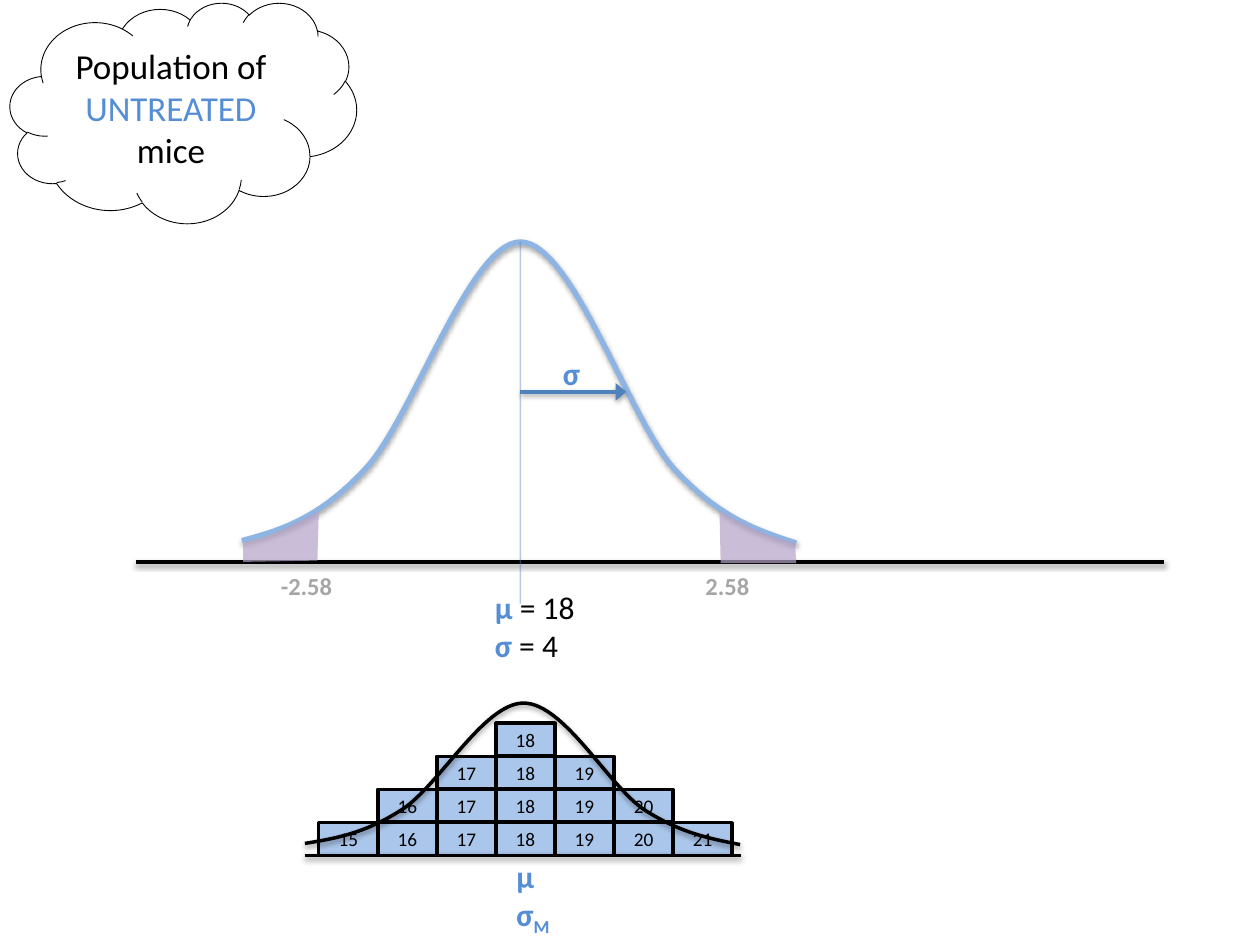
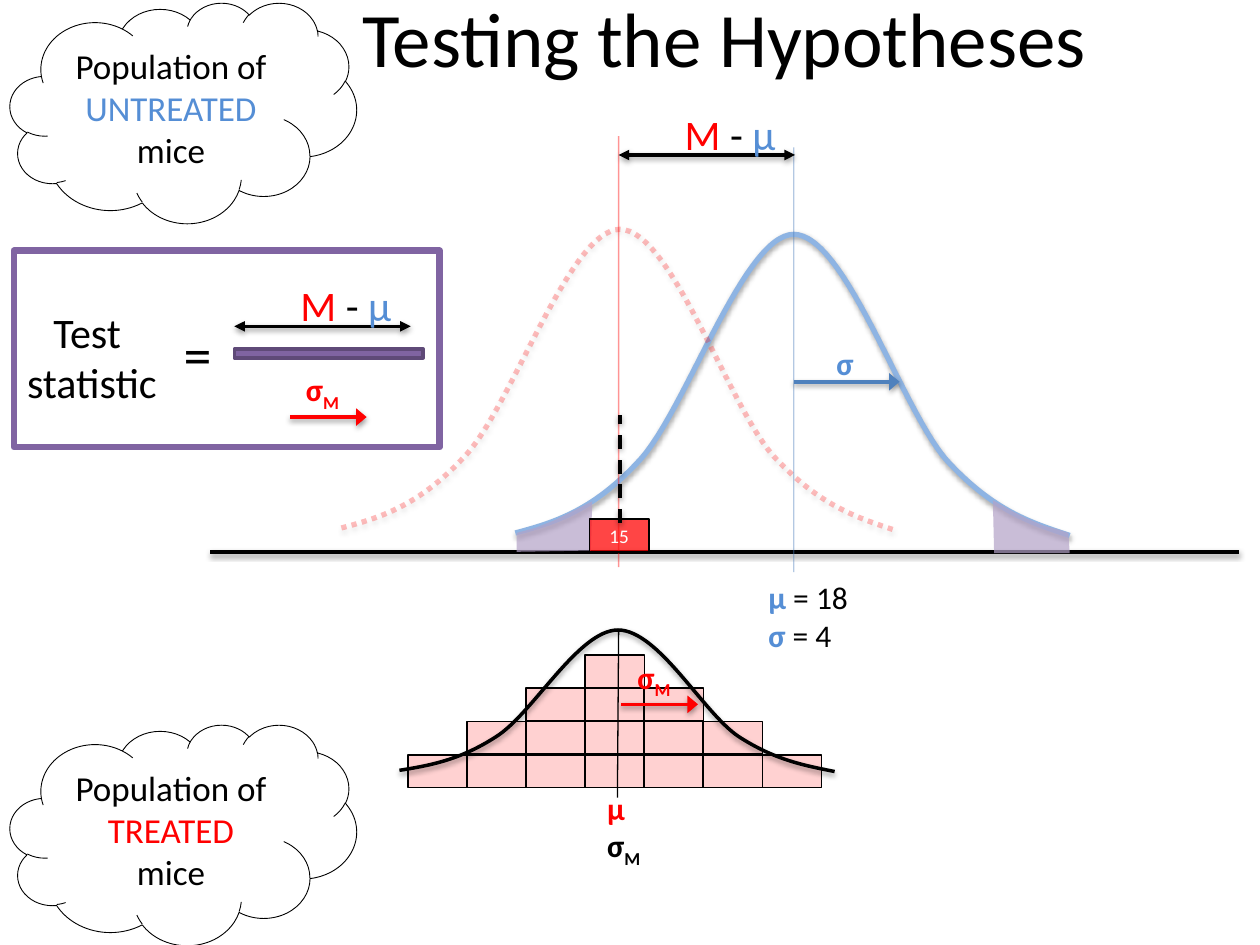
"""Build two slides that compare untreated and treated populations of mice."""
from lxml.etree import SubElement
from pptx import Presentation
from pptx.dml.color import RGBColor
from pptx.enum.dml import MSO_LINE as Dash
from pptx.enum.shapes import MSO_CONNECTOR as Link, MSO_SHAPE as Preset
from pptx.enum.text import MSO_ANCHOR as Anchor, PP_ALIGN as Align
from pptx.oxml.ns import qn
from pptx.util import Inches, Pt

COLORS = {
    "black": "000000", "white": "FFFFFF", "red": "FF0000", "gray": "A6A6A6",
    "untreated": "558ED5", "curve": "8EB4E3", "arrow": "4F81BD", "mean": "4B7EBC",
    "tail": "B3A2C7", "frame": "8064A2", "bar_edge": "5F4A78",
}
FONT = "Calibri"
CELL_WIDTH, CELL_HEIGHT = 0.47, 0.26
COLUMN_STEP, ROW_STEP = 3.28 / 7, 0.79 / 3
BELL = [(0, 2.37), (0.3, 2.29), (0.61, 2.2), (0.98, 1.8), (1.35, 1.41), (1.81, 0),
        (2.21, 0), (2.62, 0), (3.07, 1.4), (3.43, 1.8), (3.8, 2.2), (4.1, 2.29), (4.4, 2.39)]
TAILS = [
    [(4.4, 2.55), (4.39, 2.39), (4.3, 2.36), (4.19, 2.33), (4.05, 2.27), (3.95, 2.22),
     (3.79, 2.13), (3.8, 2.55)],
    [(0.01, 2.39), (0.16, 2.35), (0.31, 2.29), (0.47, 2.21), (0.61, 2.14), (0.6, 2.53),
     (0.01, 2.54)],
]


def write(box, text, size=18, color="black", bold=False, align=Align.LEFT,
          anchor=Anchor.TOP, wrap=True):
    """Fill a box with plain text, or with paragraphs of (text, color, flags) runs."""
    frame = box.text_frame
    frame.word_wrap, frame.vertical_anchor = wrap, anchor
    paragraphs = [[(text, color, "b" if bold else "")]] if isinstance(text, str) else text
    for number, runs in enumerate(paragraphs):
        para = frame.add_paragraph() if number else frame.paragraphs[0]
        para.alignment = align
        for words, run_color, flags in runs:
            span = para.add_run()
            span.text = words
            span.font.name, span.font.size = FONT, Pt(size)
            span.font.bold = "b" in flags
            span.font.color.rgb = RGBColor.from_string(COLORS[run_color])
            if "s" in flags:
                span.font._element.set("baseline", "-25000")


def style(shape, fill=None, line=None, width=2, fill_alpha=100, line_alpha=100,
          dash=None, arrows=(), head_width="med", shadow=False):
    """Set fill, line, arrowheads, transparency and shadow of a shape or connector."""
    paints = [(shape.line.fill, line, line_alpha)]
    if hasattr(shape, "fill"):
        paints.append((shape.fill, fill, fill_alpha))
    properties = shape._element.spPr
    for paint, color, alpha in paints:
        if color is None:
            paint.background()
            continue
        paint.solid()
        paint.fore_color.rgb = RGBColor.from_string(COLORS[color])
        if alpha < 100:
            owner = properties.find(qn("a:ln")) if paint is paints[0][0] else properties
            tint = owner.find(qn("a:solidFill")).find(qn("a:srgbClr"))
            SubElement(tint, qn("a:alpha"), val=str(alpha * 1000))
    if line:
        shape.line.width = Pt(width)
    if dash:
        shape.line.dash_style = dash
    for end in arrows:
        SubElement(properties.find(qn("a:ln")), qn(f"a:{end}End"), type="triangle", w=head_width)
    effects = SubElement(properties, qn("a:effectLst"))
    if shadow:
        cast = SubElement(effects, qn("a:outerShdw"), blurRad="40000", dist="20000",
                          dir="5400000", rotWithShape="0")
        tint = SubElement(cast, qn("a:srgbClr"), val=COLORS["black"])
        SubElement(tint, qn("a:alpha"), val="38000")


deck = Presentation()
deck.slide_width, deck.slide_height = Inches(10), Inches(7.5)

bold_line = dict(line="black", shadow=True)
sigma_arrow = dict(line="red", arrows=["tail"], head_width="lg", shadow=True)
double_arrow = dict(line="black", arrows=["head", "tail"], shadow=True)
thin_red = dict(line="red", width=0.75, line_alpha=42)
dotted_red = dict(line="red", width=3, line_alpha=26, dash=Dash.ROUND_DOT, shadow=True)
differences = [(4.91, 1.23), (1.86, 2.59)]
errors = [(4.93, 5.59), (2.3, 3.31)]

scenes = [
    dict(layout=6, left=1.92, top=1.92, curve_top=1.92, axis=1.08, mean=(1.92, 4.79),
         cells=(2.53, 6.53), sample=(2.42, 5.58), label=(4, 6.75),
         cell_style=dict(fill="curve", fill_alpha=75, line="black"), numbers=True,
         label_colors=("untreated", "untreated"),
         clouds=[(0.02, "UNTREATED ", "untreated")],
         lines=[(2.42, 6.79, 5.88, 6.79, bold_line)], curves=[]),
    dict(layout=5, left=4.09, top=1.84, curve_top=1.86, axis=1.67, mean=(1.17, 4.54),
         cells=(3.24, 5.99), sample=(3.17, 5), label=(4.72, 6.21),
         cell_style=dict(fill="red", fill_alpha=18, line="black", width=1), numbers=False,
         label_colors=("red", "black"),
         clouds=[(0.02, "UNTREATED ", "untreated"), (5.75, "TREATED ", "red")],
         lines=[(4.91, 1.08, 4.91, 4.5, thin_red),
                (4.91, 5, 4.9, 6.33, dict(line="black", width=0.75))]
         + [(x + 1.4, y, x, y, double_arrow) for x, y in differences]
         + [(x, y, x + 0.61, y, sigma_arrow) for x, y in errors],
         curves=[(2.71, 1.82, 1, 1, dotted_red)]),
]

for scene in scenes:
    page = deck.slides.add_slide(deck.slide_layouts[scene["layout"]])
    left, top = scene["left"], scene["top"]
    center = left + 2.21

    for cloud_top, group, color in scene["clouds"]:
        cloud = page.shapes.add_shape(
            Preset.CLOUD, Inches(0.08), Inches(cloud_top), Inches(2.75), Inches(1.75))
        style(cloud, line="black", width=0.5)
        write(cloud, [[("Population of ", "black", ""), (group, color, ""), ("mice", "black", "")]],
              size=20, align=Align.CENTER, anchor=Anchor.MIDDLE)

    for column in range(7):
        for row in range(4 - abs(column - 3)):
            cell = page.shapes.add_shape(
                Preset.RECTANGLE, Inches(scene["cells"][0] + column * COLUMN_STEP),
                Inches(scene["cells"][1] - row * ROW_STEP),
                Inches(CELL_WIDTH), Inches(CELL_HEIGHT))
            style(cell, **scene["cell_style"])
            if scene["numbers"]:
                write(cell, str(15 + column), size=11, align=Align.CENTER, anchor=Anchor.MIDDLE)

    axis, axis_y = scene["axis"], top + 2.54
    lines = [
        (axis, axis_y, axis + 8.16, axis_y, bold_line),
        (center, scene["mean"][0], center, scene["mean"][1],
         dict(line="mean", width=0.75, line_alpha=42)),
        (center, top + 1.19, center + 0.84, top + 1.19,
         dict(line="arrow", arrows=["tail"], head_width="lg", shadow=True)),
    ]
    curves = [
        (left, scene["curve_top"], 1, 1, dict(line="curve", width=3, shadow=True)),
        (*scene["sample"], 0.785, 0.47, bold_line),
    ]
    for curve_left, curve_top, scale_x, scale_y, look in curves + scene["curves"]:
        points = [(Inches(curve_left + x * scale_x), Inches(curve_top + y * scale_y))
                  for x, y in BELL]
        builder = page.shapes.build_freeform(*points[0])
        builder.add_line_segments(points[1:], close=False)
        curve = builder.convert_to_shape()
        segments = list(curve._element.iter(qn("a:lnTo")))
        outline = segments[0].getparent()
        for start in range(0, len(segments), 3):
            bezier = SubElement(outline, qn("a:cubicBezTo"))
            for segment in segments[start:start + 3]:
                bezier.append(segment[0])
                outline.remove(segment)
        style(curve, **look)

    for x1, y1, x2, y2, look in lines + scene["lines"]:
        connector = page.shapes.add_connector(
            Link.STRAIGHT, Inches(x1), Inches(y1), Inches(x2), Inches(y2))
        style(connector, **look)

    for tail in TAILS:
        points = [(Inches(left + x), Inches(top + y)) for x, y in tail]
        builder = page.shapes.build_freeform(*points[0])
        builder.add_line_segments(points[1:], close=True)
        style(builder.convert_to_shape(), fill="tail", fill_alpha=70)

    mean_color, error_color = scene["label_colors"]
    labels = [
        (left + 1.91, top + 2.7, 0.92, 0.71,
         [[("µ", "untreated", "b"), (" = 18", "black", "")],
          [("σ", "untreated", "b"), (" = 4", "black", "")]]),
        (center + 0.24, top + 0.84, 0.37, 0.4, [[("σ", "untreated", "b")]]),
        (*scene["label"], 0.92, 0.71,
         [[("µ", mean_color, "b")], [("σ", error_color, "b"), ("M", error_color, "bs")]]),
    ]
    for x, y, width, height, text in labels:
        box = page.shapes.add_textbox(Inches(x), Inches(y), Inches(width), Inches(height))
        write(box, text)

untreated_page, test_page = deck.slides

for x, limit in [(5.5, "2.58"), (2.13, "-2.58")]:
    box = untreated_page.shapes.add_textbox(Inches(x), Inches(4.48), Inches(0.92), Inches(0.34))
    write(box, limit, size=14, color="gray", bold=True)

title = test_page.shapes.title
title.left, title.top = Inches(1.25), Inches(-0.33)
title.width, title.height = Inches(9), Inches(1.25)
write(title, "Testing the Hypotheses", size=44, align=Align.CENTER, anchor=Anchor.MIDDLE)

sample_mean = test_page.shapes.add_shape(
    Preset.RECTANGLE, Inches(4.68), Inches(4.12), Inches(CELL_WIDTH), Inches(CELL_HEIGHT))
style(sample_mean, fill="red", fill_alpha=73, line="black", width=1)
write(sample_mean, "15", size=11, color="white", align=Align.CENTER, anchor=Anchor.MIDDLE)
marker = test_page.shapes.add_connector(
    Link.STRAIGHT, Inches(4.92), Inches(4.15), Inches(4.92), Inches(3.29))
style(marker, dash=Dash.DASH, **bold_line)

for x, y in differences:
    box = test_page.shapes.add_textbox(
        Inches(x + 0.4), Inches(y - 0.42), Inches(0.97), Inches(0.5))
    write(box, [[("M", "red", ""), (" - ", "black", ""), ("µ", "untreated", "")]],
          size=24, align=Align.CENTER)
for x, y in errors:
    box = test_page.shapes.add_textbox(
        Inches(x + 0.03), Inches(y - 0.42), Inches(0.49), Inches(0.4))
    write(box, [[("σ", "red", "b"), ("M", "red", "bs")]], wrap=False)

fraction_bar = test_page.shapes.add_shape(
    Preset.RECTANGLE, Inches(1.86), Inches(2.77), Inches(1.5), Inches(0.07))
style(fraction_bar, fill="frame", line="bar_edge")
formula_frame = test_page.shapes.add_shape(
    Preset.RECTANGLE, Inches(0.11), Inches(1.99), Inches(3.38), Inches(1.56))
style(formula_frame, line="frame", width=3.75)
formula_name = test_page.shapes.add_textbox(
    Inches(0.11), Inches(2.38), Inches(1.24), Inches(0.91))
write(formula_name, [[("Test ", "black", "")], [("statistic", "black", "")]],
      size=24, align=Align.CENTER, wrap=False)
equals = test_page.shapes.add_textbox(Inches(1.36), Inches(2.49), Inches(0.58), Inches(0.64))
write(equals, "=", size=32)

deck.save("out.pptx")
